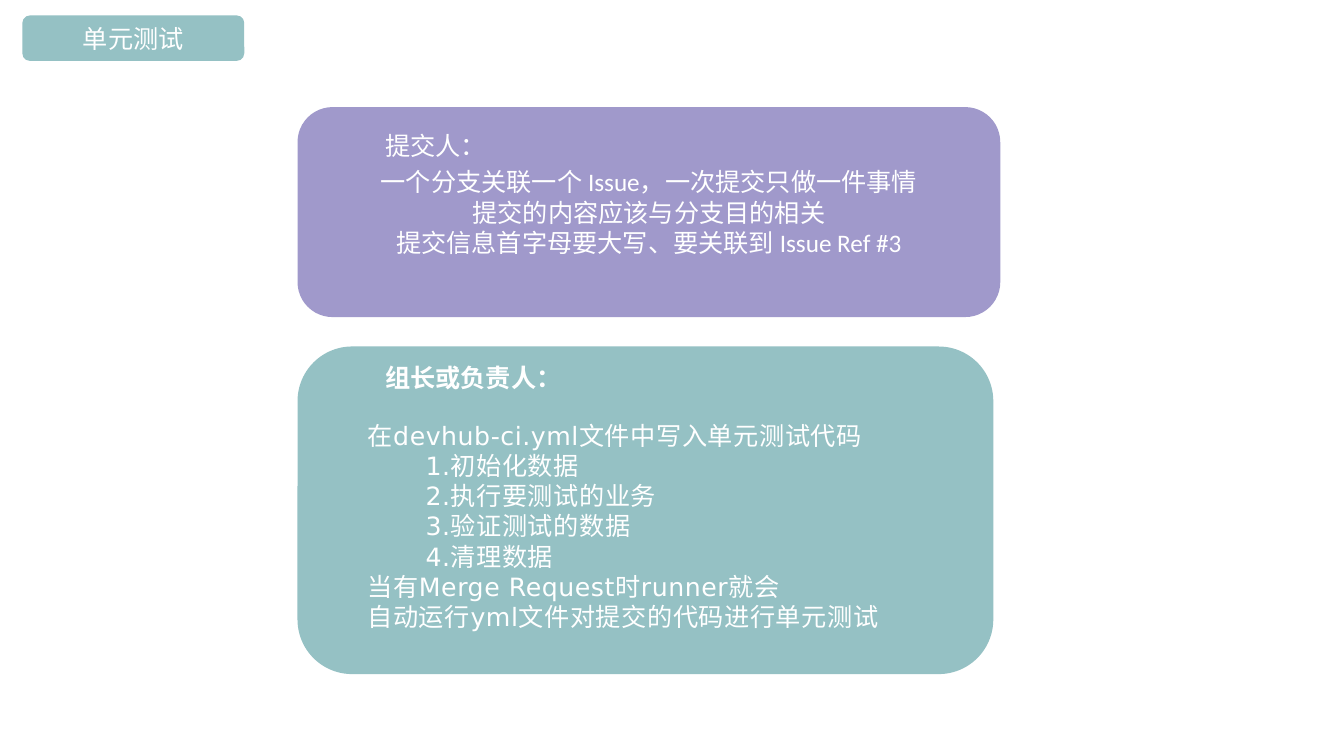
from lxml import etree
from pptx import Presentation
from pptx.dml.color import RGBColor
from pptx.enum.shapes import MSO_SHAPE as SHAPE
from pptx.enum.text import MSO_ANCHOR as ANCHOR, MSO_AUTO_SIZE as FIT, PP_ALIGN as ALIGN
from pptx.oxml.ns import qn
from pptx.util import Pt

COLORS = {"teal": "95C1C4", "purple": "A099CB", "white": "FFFFFF"}

COMMIT_RULES = [
    "⼀个分支关联⼀个 Issue，⼀次提交只做⼀件事情",
    "提交的内容应该与分支目的相关",
    "提交信息首字母要⼤写、要关联到 Issue Ref #3",
]
# Each line with its list level
TEST_STEPS = [
    ("在devhub-ci.yml文件中写入单元测试代码", 0),
    ("1.初始化数据", 1),
    ("2.执行要测试的业务", 1),
    ("3.验证测试的数据", 1),
    ("4.清理数据", 1),
    ("当有Merge Request时runner就会", 0),
    ("自动运行yml文件对提交的代码进行单元测试", 0),
]
STEP_INDENT = 41.5


def place(sp, box):
    sp.left, sp.top, sp.width, sp.height = [Pt(v) for v in box]


def write(p, text, font="Calibri", bold=False, align=ALIGN.LEFT, spacing=0):
    p.alignment = align
    r = p.add_run()
    r.text = text
    r.font.name, r.font.size, r.font.bold = font, Pt(18), bold
    r.font.color.rgb = RGBColor.from_string(COLORS["white"])
    if spacing:
        r.font._element.set("spc", str(round(spacing * 100)))


def add_card(slide, box, color):
    sp = slide.shapes.add_shape(SHAPE.ROUNDED_RECTANGLE, *[Pt(v) for v in box])
    sp.shadow.inherit = False
    sp.fill.solid()
    sp.fill.fore_color.rgb = RGBColor.from_string(COLORS[color])
    sp.line.fill.background()
    return sp


def add_heading(slide, box, text, bold=False):
    sp = slide.shapes.add_textbox(*[Pt(v) for v in box])
    tf = sp.text_frame
    tf.word_wrap = True
    tf.auto_size = FIT.SHAPE_TO_FIT_TEXT
    write(tf.paragraphs[0], text, bold=bold)


def bring_to_front(slide, sp):
    slide.shapes._spTree.append(sp._element)


def title_tag(slide, box):
    add_card(slide, box, "teal")
    title = slide.shapes.title
    place(title, box)
    bring_to_front(slide, title)
    tf = title.text_frame
    tf.auto_size = FIT.NONE
    tf.vertical_anchor = ANCHOR.MIDDLE
    write(tf.paragraphs[0], "单元测试", align=ALIGN.CENTER)


def submitter_card(slide, box):
    x, y, w, h = box
    tf = add_card(slide, box, "purple").text_frame
    tf.word_wrap = True
    tf.vertical_anchor = ANCHOR.MIDDLE
    for i, text in enumerate(COMMIT_RULES):
        p = tf.add_paragraph() if i else tf.paragraphs[0]
        write(p, text, align=ALIGN.CENTER)
    add_heading(slide, (x + 55.5, y + 13, 165, 29), "提交人：")


def leader_card(slide, box):
    x, y, w, h = box
    add_card(slide, box, "teal")
    add_heading(slide, (x + 55.5, y + 8, 141, 29), "组长或负责人：", bold=True)

    # Steps in the body placeholder
    body = slide.placeholders[1]
    place(body, (x + 50, y + 52.5, w - 70, h - 80))
    bring_to_front(slide, body)
    tf = body.text_frame
    tf.auto_size = FIT.NONE
    tf.vertical_anchor = ANCHOR.TOP
    tf.margin_left = tf.margin_top = tf.margin_right = tf.margin_bottom = 0
    for i, (text, level) in enumerate(TEST_STEPS):
        p = tf.add_paragraph() if i else tf.paragraphs[0]
        p.level = level
        write(p, text, font="DejaVu Sans", spacing=0.4)
        p.space_before = Pt(0)
        pPr = p._p.get_or_add_pPr()
        pPr.set("marL", str(Pt(STEP_INDENT * level)))
        pPr.set("indent", "0")
        etree.SubElement(pPr, qn("a:buNone"))


def main():
    prs = Presentation()
    prs.slide_width, prs.slide_height = Pt(960), Pt(540)
    slide = prs.slides.add_slide(prs.slide_layouts[1])
    submitter_card(slide, (212.5, 76.5, 502, 150))
    leader_card(slide, (212.5, 247.5, 497, 234))
    title_tag(slide, (16, 11, 158.5, 32.5))
    prs.save("out.pptx")


if __name__ == "__main__":
    main()
